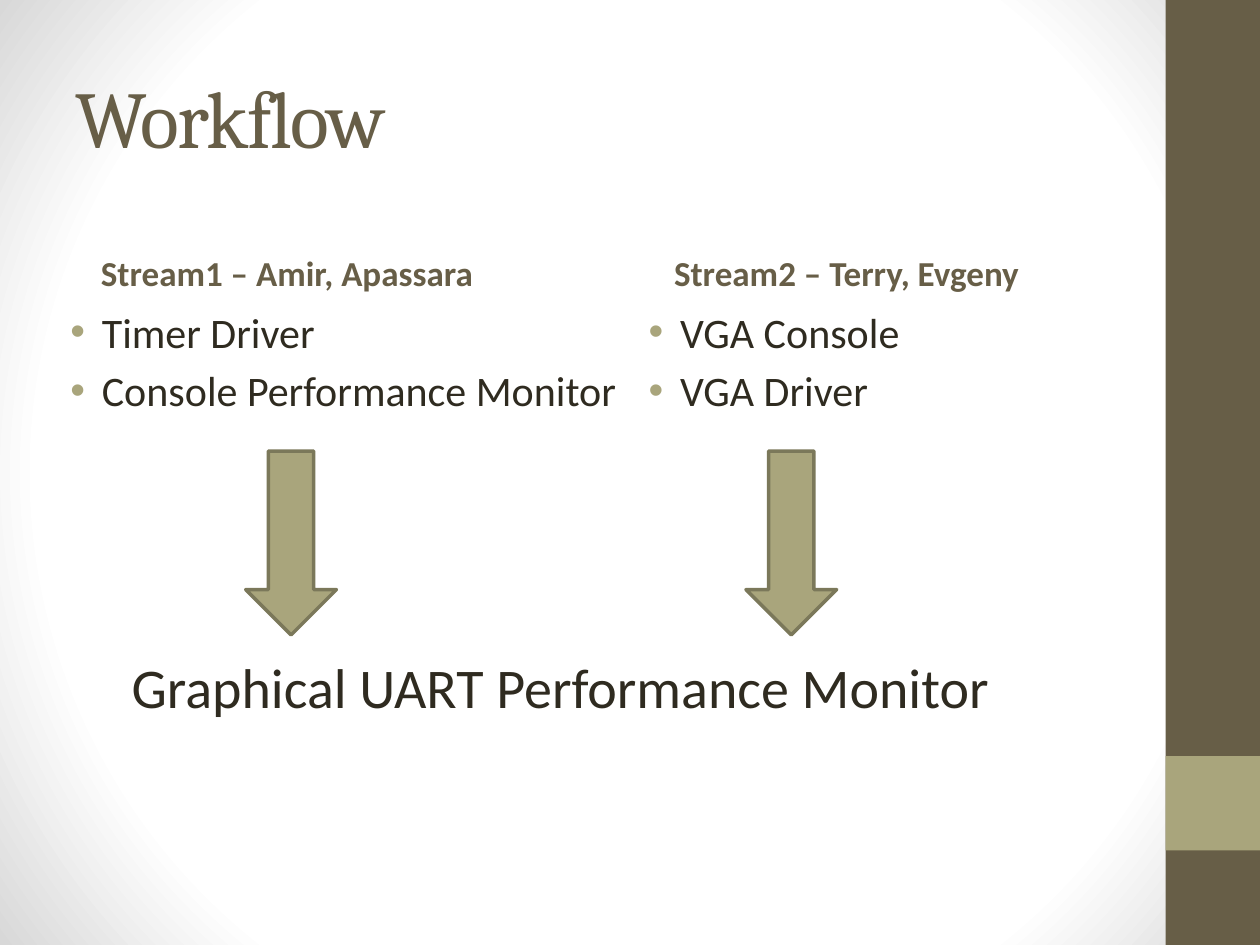
from dataclasses import dataclass

from pptx import Presentation
from pptx.dml.color import RGBColor
from pptx.enum.shapes import MSO_SHAPE
from pptx.enum.text import MSO_ANCHOR, PP_ALIGN
from pptx.oxml import parse_xml
from pptx.oxml.ns import nsdecls, qn
from pptx.util import Inches, Pt


@dataclass(frozen=True)
class Theme:
    brown: str = "675E47"
    olive: str = "A9A57C"
    outline: str = "7B785A"
    ink: str = "2F2B20"
    white: str = "FFFFFF"
    grey: str = "D8D8D8"
    heading_font: str = "Cambria"
    body_font: str = "Calibri"
    title: int = 46
    stream: int = 20
    item: int = 24
    result: int = 32


theme = Theme()
prs = Presentation()
prs.slide_width, prs.slide_height = Inches(10), Inches(7.5)
s = prs.slides.add_slide(prs.slide_layouts[6])


def add_text(box, lines, size, color, font=theme.body_font, bold=False,
             align=PP_ALIGN.LEFT, anchor=MSO_ANCHOR.TOP):
    tf = s.shapes.add_textbox(*map(Inches, box)).text_frame
    tf.word_wrap = True
    tf.vertical_anchor = anchor
    for i, line in enumerate(lines):
        p = tf.paragraphs[0] if i == 0 else tf.add_paragraph()
        p.alignment = align
        r = p.add_run()
        r.text = line
        for name, value in {"name": font, "size": Pt(size), "bold": bold}.items():
            setattr(r.font, name, value)
        r.font.color.rgb = RGBColor.from_string(color)
    return tf


def add_block(kind, box, color):
    sp = s.shapes.add_shape(kind, *map(Inches, box))
    sp.shadow.inherit = False
    sp.fill.solid()
    sp.fill.fore_color.rgb = RGBColor.from_string(color)
    sp.line.fill.background()
    return sp


s.background.fill.solid()
bg = s.element.find(".//" + qn("p:bgPr"))
stops = "".join(
    f'<a:gs pos="{pos * 1000}"><a:srgbClr val="{color}"/></a:gs>'
    for pos, color in [(0, theme.white), (75, theme.white), (100, theme.grey)]
)
bg.replace(bg[0], parse_xml(
    f'<a:gradFill {nsdecls("a")} rotWithShape="1"><a:gsLst>{stops}</a:gsLst>'
    '<a:path path="circle"><a:fillToRect l="50000" t="50000" r="50000" b="50000"/>'
    '</a:path></a:gradFill>'
))

add_block(MSO_SHAPE.RECTANGLE, (9.25, 0, 0.75, 7.5), theme.brown)
add_block(MSO_SHAPE.RECTANGLE, (9.25, 6, 0.75, 0.75), theme.olive)

title = add_text((0.5, 0.3, 8.33, 1.25), ["Workflow"], theme.title, theme.brown,
                 font=theme.heading_font, anchor=MSO_ANCHOR.MIDDLE)
title.paragraphs[0].runs[0].font._element.set("spc", "-100")

streams = [
    ("Stream1 – Amir, Apassara", 0.33, 0.33, 4.68,
     ["Timer Driver", "Console Performance Monitor"]),
    ("Stream2 – Terry, Evgeny", 4.77, 4.92, 4,
     ["VGA Console", "VGA Driver"]),
]
for name, head_left, list_left, list_width, items in streams:
    head = add_text((head_left, 1.68, 4, 0.7), [name], theme.stream, theme.brown,
                    bold=True, align=PP_ALIGN.CENTER, anchor=MSO_ANCHOR.BOTTOM)
    head.margin_right = Inches(0.2)
    tf = add_text((list_left, 2.38, list_width, 1.81), items, theme.item, theme.ink)
    for i, p in enumerate(tf.paragraphs):
        p.space_before = Pt(4.8 if i else 0)
        pPr = p._p.get_or_add_pPr()
        pPr.set("marL", str(Inches(0.38)))
        pPr.set("indent", str(Inches(-0.25)))
        for bullet in (
            f'<a:buClr {nsdecls("a")}><a:srgbClr val="{theme.olive}"/></a:buClr>',
            f'<a:buFont {nsdecls("a")} typeface="Arial"/>',
            f'<a:buChar {nsdecls("a")} char="•"/>',
        ):
            pPr.append(parse_xml(bullet))

add_text((0.81, 5.13, 7.28, 0.64), ["Graphical UART Performance Monitor"],
         theme.result, theme.ink, align=PP_ALIGN.CENTER)

for left in (1.95, 5.92):
    arrow = add_block(MSO_SHAPE.DOWN_ARROW, (left, 3.58, 0.72, 1.46), theme.olive)
    arrow.line.color.rgb = RGBColor.from_string(theme.outline)
    arrow.line.width = Pt(2)

prs.save("out.pptx")
